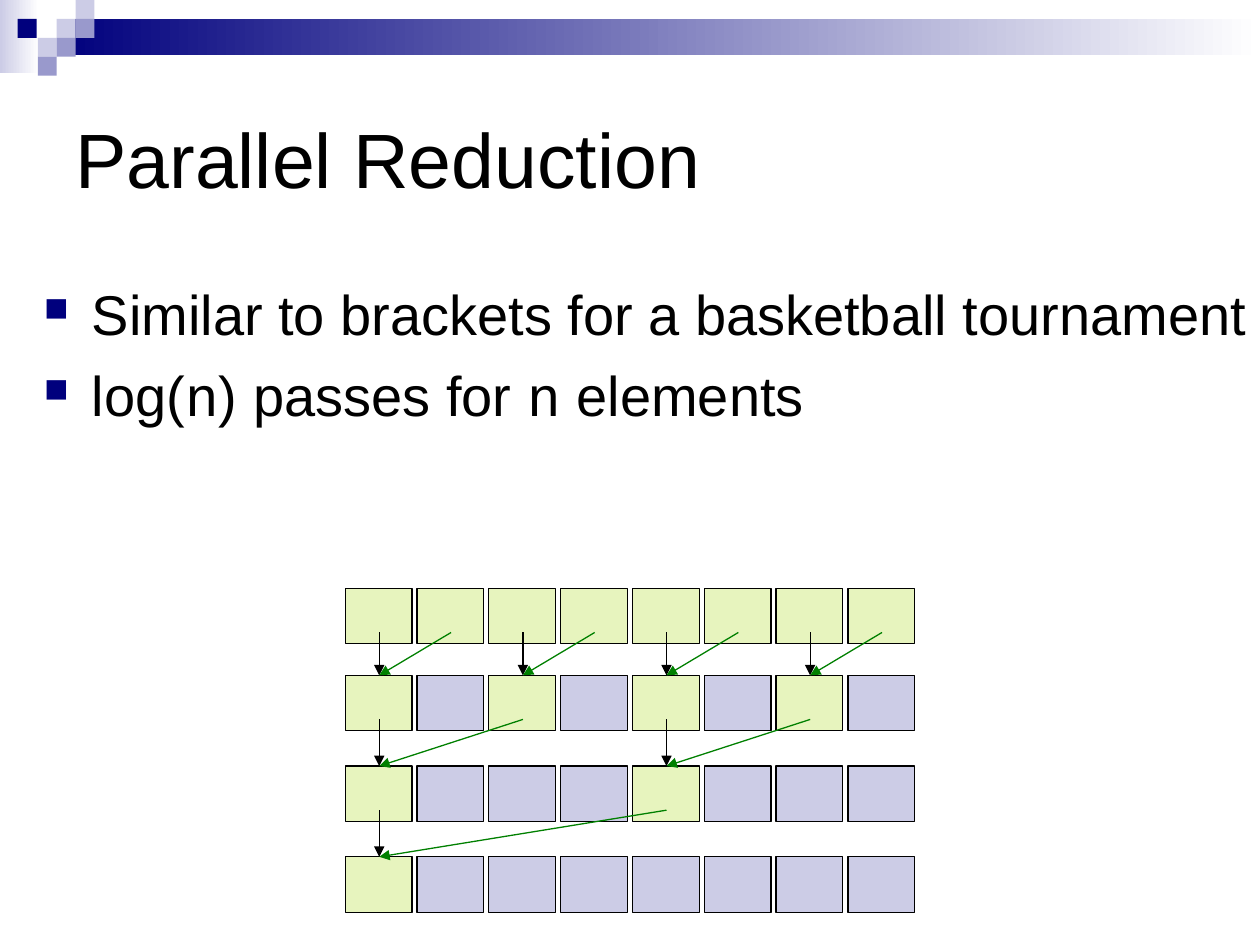
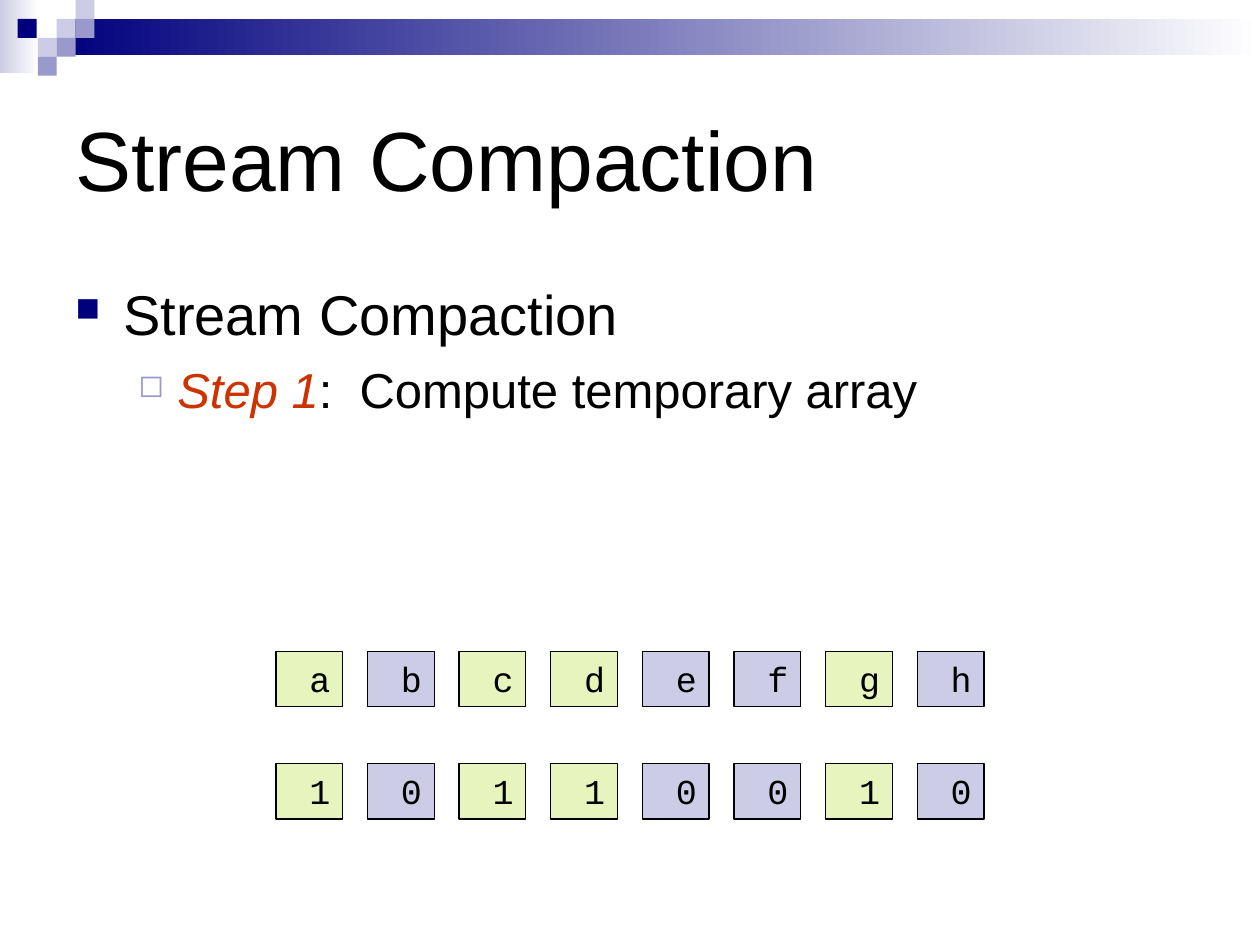
import pptx
import pptx.util
import pptx.dml.color
import pptx.enum.shapes
import pptx.enum.text
import pptx.oxml
import lxml.etree
from pptx.util import Inches

RGBColor = pptx.dml.color.RGBColor
BLACK = RGBColor(0x00, 0x00, 0x00)
WHITE = RGBColor(0xFF, 0xFF, 0xFF)
NAVY = RGBColor(0x00, 0x00, 0x7D)
LAVENDER = RGBColor(0xCC, 0xCC, 0xE6)
PERIWINKLE = RGBColor(0x99, 0x99, 0xCC)
LIME = RGBColor(0xE7, 0xF4, 0xBE)
GREEN = RGBColor(0x00, 0x80, 0x00)
RUST = RGBColor(0xCC, 0x33, 0x00)

BODY_FONT = "Arial"
CODE_FONT = "Courier New"
CELL_WIDTH, CELL_HEIGHT = 0.53, 0.44

# left, top, colour of the small squares around the header band
TILE = 0.15
HEADER_TILES = [
    (0.45, 0.15, LAVENDER), (0.6, 0, LAVENDER), (0.6, 0.15, PERIWINKLE),
    (0.3, 0.3, LAVENDER), (0.14, 0.15, NAVY), (0.45, 0.3, PERIWINKLE),
    (0.3, 0.45, PERIWINKLE),
]

# size, left margin, hanging indent, space before, bullet, bullet colour, bullet percent
BULLET_LEVELS = [
    (32, 0.38, 0.38, 8, "■", NAVY, 60),
    (28, 0.81, 0.31, 7, "◻", PERIWINKLE, 64),
]


def add_xml(parent, tag, **attributes):
    element = lxml.etree.SubElement(parent, pptx.oxml.ns.qn(tag))
    for key, value in attributes.items():
        element.set(key, str(value))
    return element


class Deck:
    """Holds the shared style and the slide being filled."""

    def __init__(self):
        self.presentation = pptx.Presentation()
        self.presentation.slide_width = Inches(10)
        self.presentation.slide_height = Inches(7.5)
        self.slide = None

    def new_slide(self, title, title_size):
        self.slide = self.presentation.slides.add_slide(self.presentation.slide_layouts[6])
        self.gradient_band(0, 0, 0.31, 0.58, LAVENDER)
        self.gradient_band(0.45, 0.15, 9.55, 0.29, NAVY)
        for left, top, color in HEADER_TILES:
            self.rectangle(left, top, TILE, TILE, color)
        frame = self.text_frame(0.5, 0.5, 9, 1.5)
        frame.vertical_anchor = pptx.enum.text.MSO_ANCHOR.MIDDLE
        frame.text = title
        self.style_font(frame.paragraphs[0].font, title_size)

    def style_font(self, font, size, name=BODY_FONT):
        font.name = name
        font.size = pptx.util.Pt(size)
        font.color.rgb = BLACK

    def text_frame(self, left, top, width, height):
        box = self.slide.shapes.add_textbox(
            Inches(left), Inches(top), Inches(width), Inches(height))
        box.text_frame.word_wrap = True
        return box.text_frame

    def rectangle(self, left, top, width, height, color):
        shape = self.slide.shapes.add_shape(
            pptx.enum.shapes.MSO_SHAPE.RECTANGLE,
            Inches(left), Inches(top), Inches(width), Inches(height))
        shape.shadow.inherit = False
        shape.fill.solid()
        shape.fill.fore_color.rgb = color
        shape.line.fill.background()
        return shape

    def gradient_band(self, left, top, width, height, color):
        """Rectangle fading from color at the left to white at the right."""
        fill = self.rectangle(left, top, width, height, color).fill
        fill.gradient()
        fill.gradient_angle = 0
        for stop, stop_color in zip(fill.gradient_stops, (color, WHITE)):
            stop.color.rgb = stop_color

    def cell(self, left, top, active, label=None):
        """Array element, lime when active; the label may be left out."""
        shape = self.rectangle(left, top, CELL_WIDTH, CELL_HEIGHT, LIME if active else LAVENDER)
        shape.line.color.rgb = BLACK
        shape.line.width = pptx.util.Pt(0.75)
        if label is None:
            return
        frame = shape.text_frame
        frame.word_wrap = True
        frame.margin_right = Inches(0.02)
        frame.vertical_anchor = pptx.enum.text.MSO_ANCHOR.TOP
        frame.text = f" {label}"
        frame.paragraphs[0].alignment = pptx.enum.text.PP_ALIGN.LEFT
        self.style_font(frame.paragraphs[0].font, 20, CODE_FONT)

    def arrow(self, start, end, color):
        connector = self.slide.shapes.add_connector(
            pptx.enum.shapes.MSO_CONNECTOR.STRAIGHT, *map(Inches, start + end))
        connector.line.color.rgb = color
        connector.line.width = pptx.util.Pt(0.75)
        add_xml(connector.line._get_or_add_ln(), "a:tailEnd", type="triangle")
        add_xml(connector._element.spPr, "a:effectLst")

    def bullets(self, left, width, items):
        """Each item is a level and its runs; a run is text and "code", "step" or None."""
        frame = self.text_frame(left, 2.17, width, 4.25)
        for index, (level, runs) in enumerate(items):
            paragraph = frame.add_paragraph() if index else frame.paragraphs[0]
            size, margin, hanging, before, symbol, color, percent = BULLET_LEVELS[level]
            paragraph.level = level
            properties = paragraph._p.get_or_add_pPr()
            properties.set("marL", str(Inches(margin)))
            properties.set("indent", str(-Inches(hanging)))
            paragraph.space_before = pptx.util.Pt(before)
            add_xml(add_xml(properties, "a:buClr"), "a:srgbClr", val=color)
            add_xml(properties, "a:buSzPct", val=percent * 1000)
            add_xml(properties, "a:buChar", char=symbol)
            self.style_font(paragraph.font, size)
            for text, role in runs:
                run = paragraph.add_run()
                run.text = text
                if role == "code":
                    run.font.name = CODE_FONT
                elif role == "step":
                    run.font.italic = True
                    run.font.color.rgb = RUST


def parallel_reduction(deck):
    deck.new_slide("Parallel Reduction", 44)
    deck.bullets(0.25, 9.85, [
        (0, [("Similar to brackets for a basketball tournament", None)]),
        (0, [("log(", None), ("n", "code"), (") passes for ", None),
             ("n", "code"), (" elements", None)]),
    ])
    count, left, pitch = 8, 2.74, 0.57
    row_tops = [4.67, 5.36, 6.08, 6.8]
    for level, top in enumerate(row_tops):
        for column in range(count):
            deck.cell(left + column * pitch, top, column % 2 ** level == 0)

    def center(column):
        return left + column * pitch + 0.27

    for level, (top, next_top) in enumerate(zip(row_tops, row_tops[1:])):
        stride = 2 ** level
        for target in range(0, count, 2 * stride):
            end = (center(target), next_top)
            deck.arrow((center(target), top + 0.35), end, BLACK)
            deck.arrow((center(target + stride), top + 0.35), end, GREEN)


def stream_compaction(deck):
    deck.new_slide("Stream Compaction", 48)
    deck.bullets(0.5, 9.33, [
        (0, [("Stream Compaction", None)]),
        (1, [("Step 1", "step"), (":  Compute temporary array", None)]),
    ])
    flags = "10110010"
    first_left, last_left = 2.19, 7.28
    pitch = (last_left - first_left) / (len(flags) - 1)
    for top, labels in ((5.17, "abcdefgh"), (6.06, flags)):
        for column, (label, flag) in enumerate(zip(labels, flags)):
            deck.cell(first_left + column * pitch, top, flag == "1", label)


def main():
    deck = Deck()
    parallel_reduction(deck)
    stream_compaction(deck)
    deck.presentation.save("out.pptx")


if __name__ == "__main__":
    main()
